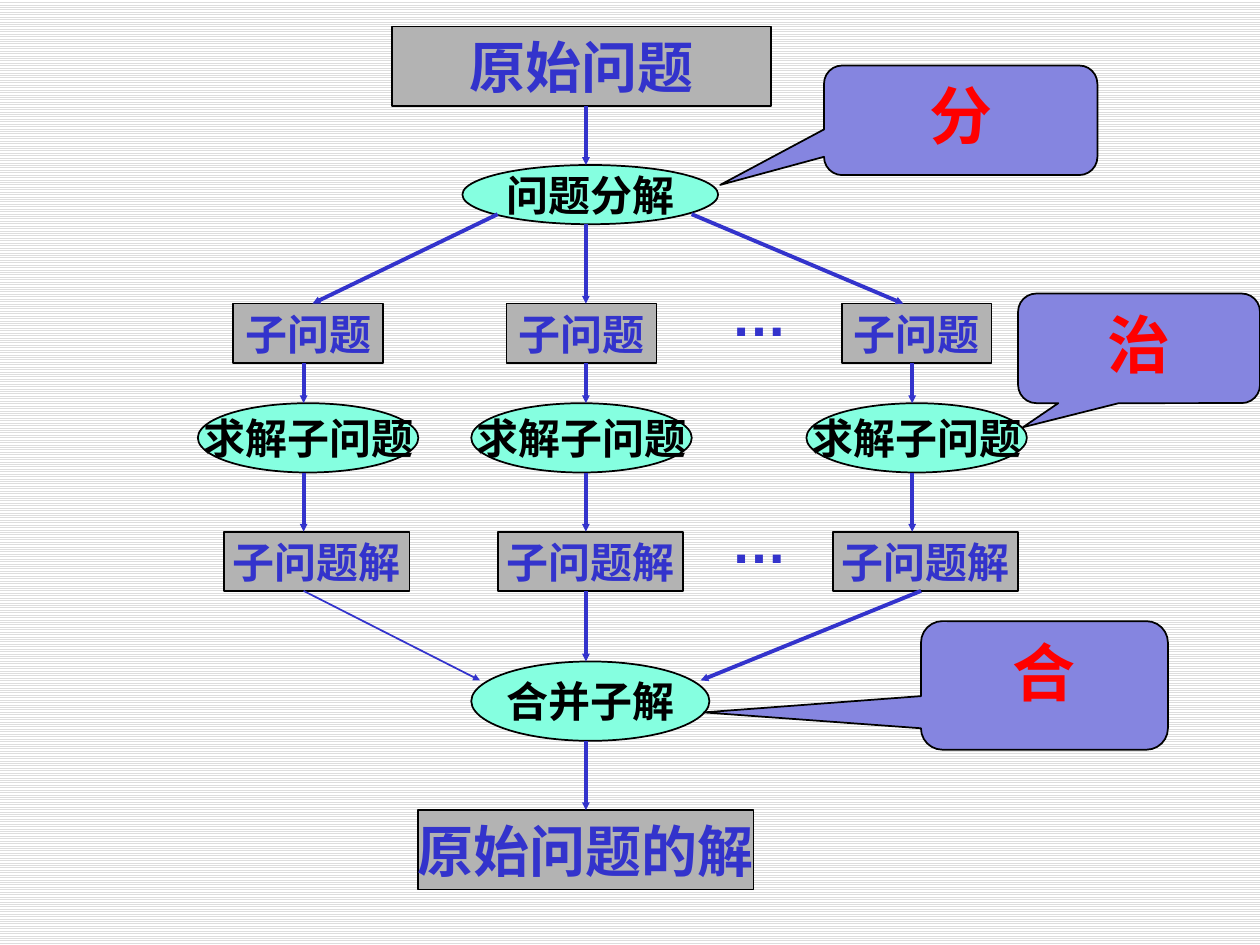
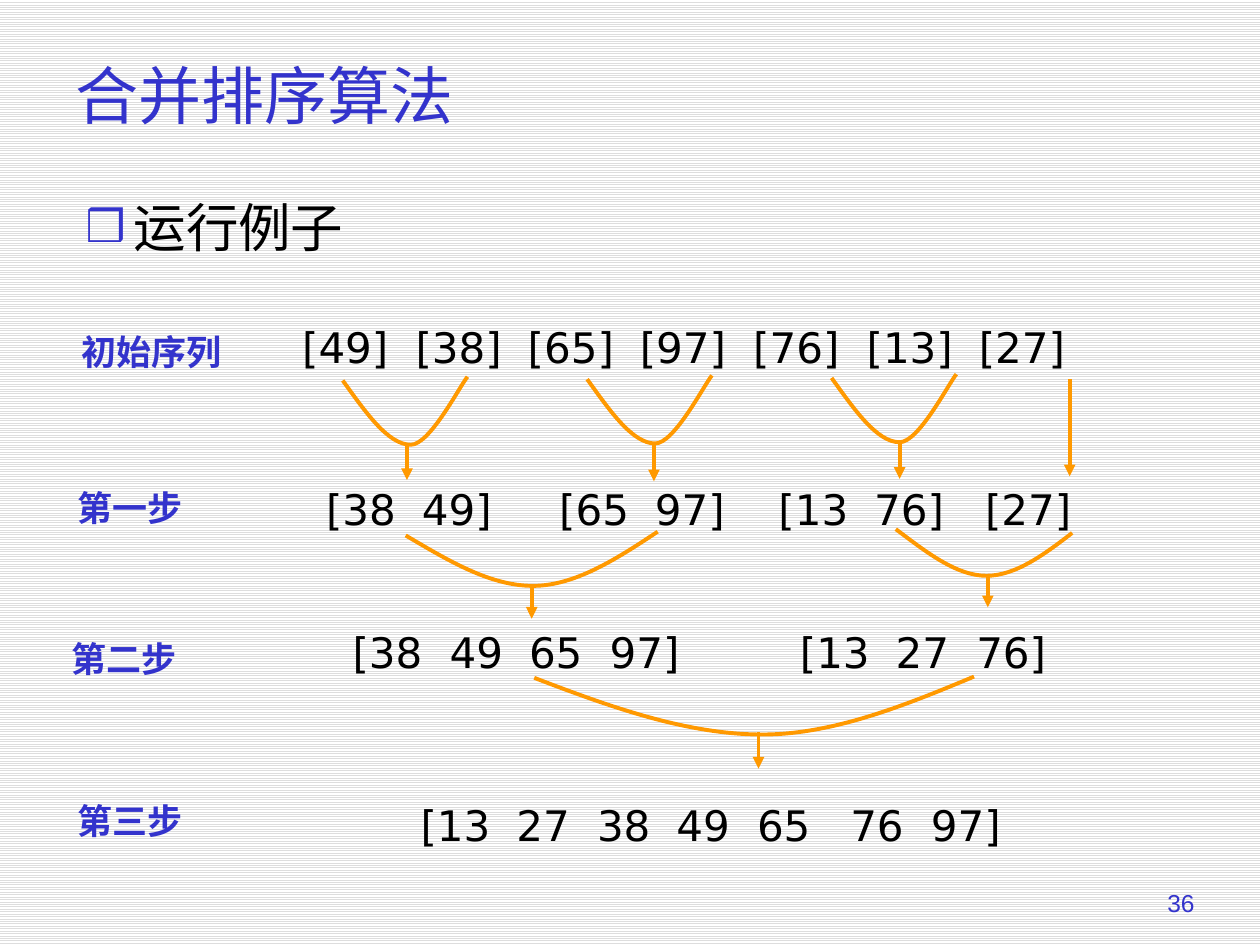
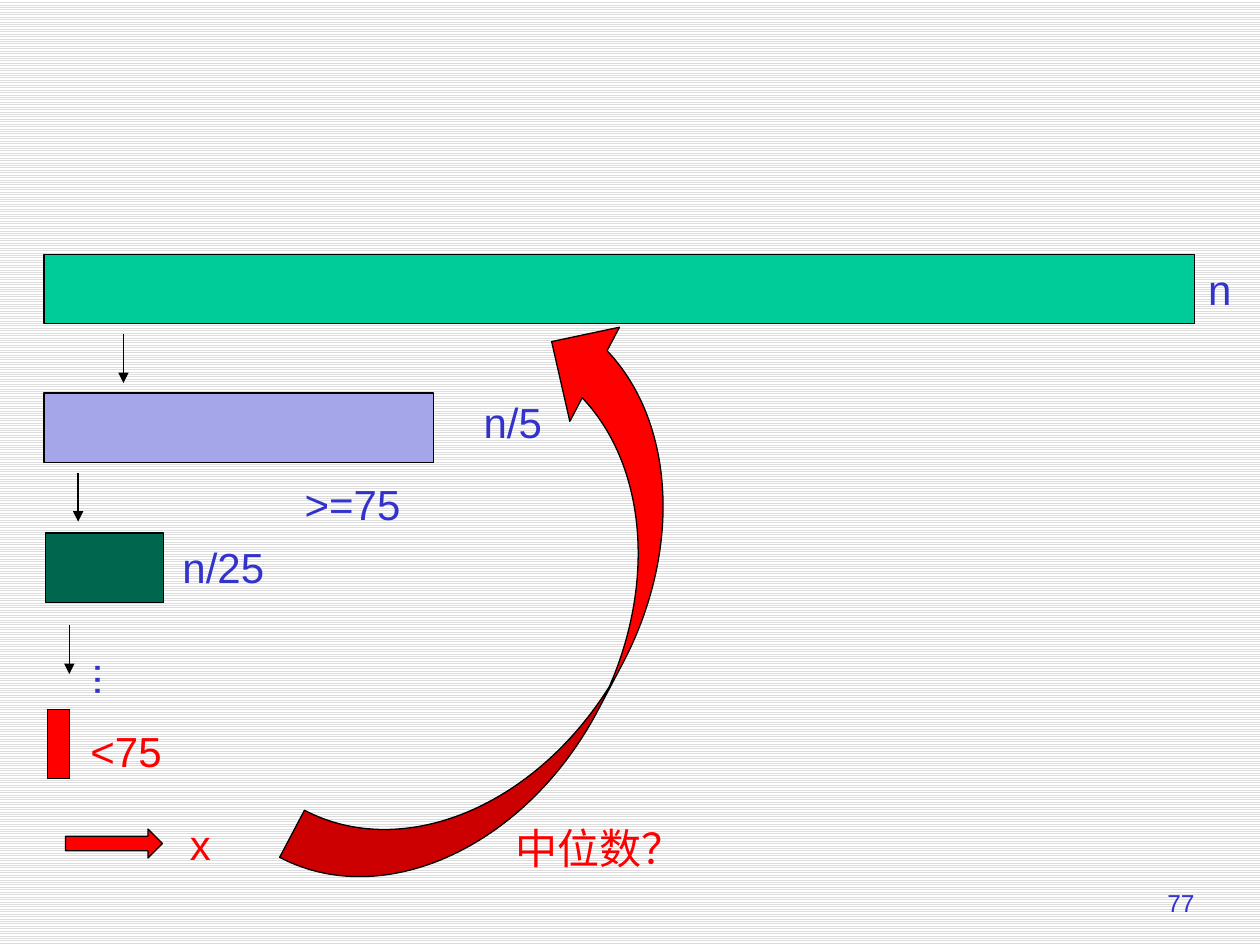
from dataclasses import dataclass
from typing import NamedTuple

from lxml import etree
from pptx import Presentation
from pptx import util as u
from pptx.dml.color import RGBColor
from pptx.enum import dml, shapes, text
from pptx.oxml import ns

PX = 9144  # EMU per px, 100 px to the inch


@dataclass(frozen=True)
class Theme:
    ink: str = "000000"
    paper: str = "FFFFFF"
    stripe: str = "DDDDDD"
    blue: str = "3333CC"
    grey: str = "B3B3B3"
    mint: str = "85FFE0"
    violet: str = "8585E0"
    lilac: str = "A5A5E9"
    green: str = "00CC99"
    pine: str = "00664D"
    red: str = "FF0000"
    orange: str = "FF9900"
    sans: str = "Arial"
    sequence_font: str = "DejaVu Sans"
    callout_font: str = "DejaVu Sans Mono"
    title_font: str = "Noto Sans CJK JP"
    body_font: str = "Times New Roman"
    page_size: int = 14
    label_size: int = 20
    text_size: int = 24
    list_size: int = 30
    box_size: int = 32
    title_size: int = 36
    hairline: float = 0.75
    outline: float = 1
    stroke: float = 2.25


THEME = Theme()
SHAPE = shapes.MSO_SHAPE
ALIGN = text.PP_ALIGN
ANCHOR = text.MSO_ANCHOR


class Area(NamedTuple):
    left: int
    top: int
    width: int
    height: int

    def emu(self) -> list[int]:
        return [length * PX for length in self]


class Arrow(NamedTuple):
    x1: int
    y1: int
    x2: int
    y2: int


class Node(NamedTuple):
    kind: SHAPE
    area: Area
    label: str
    size: int = THEME.text_size


class Callout(NamedTuple):
    area: Area
    label: str
    tip_x: float
    tip_y: float


class Label(NamedTuple):
    area: Area
    text: str
    colour: str = THEME.blue
    wrap: bool = False


class Bar(NamedTuple):
    kind: SHAPE
    area: Area
    colour: str


@dataclass(frozen=True)
class MergeCurve:
    start: tuple[int, int]
    bottom: tuple[int, int]
    end: tuple[int, int]
    lean_x: float = 0.33
    lean_y: float = 0.5


class SequenceRow(NamedTuple):
    area: Area
    items: list[str]
    tabs: list[int]


def rgb(colour: str) -> RGBColor:
    return RGBColor.from_string(colour)


def add_element(parent, tag: str, **attributes: str):
    return etree.SubElement(parent, ns.qn(tag), attributes)


def write_text(frame, content: str, *, font: str = THEME.sans,
               size: int = THEME.text_size, colour: str = THEME.blue,
               bold: bool = False, align=ALIGN.LEFT, anchor=ANCHOR.TOP,
               wrap: bool = True, grow: bool = False):
    frame.word_wrap = wrap
    frame.vertical_anchor = anchor
    fit = text.MSO_AUTO_SIZE
    frame.auto_size = fit.SHAPE_TO_FIT_TEXT if grow else fit.NONE
    paragraph = frame.paragraphs[0]
    paragraph.alignment = align
    paragraph.space_before = u.Pt(0)
    run = paragraph.add_run()
    run.text = content
    run.font.name = font
    run.font.size = u.Pt(size)
    run.font.bold = bold
    run.font.color.rgb = rgb(colour)
    return paragraph


def add_label(slide, area: Area, content: str, **text_format):
    shape = slide.shapes.add_textbox(*area.emu())
    paragraph = write_text(shape.text_frame, content, **text_format)
    return shape, paragraph


def add_filled_shape(slide, kind, area: Area, colour: str,
                     line_width: float = THEME.hairline):
    shape = slide.shapes.add_shape(kind, *area.emu())
    shape.shadow.inherit = False
    shape.fill.solid()
    shape.fill.fore_color.rgb = rgb(colour)
    shape.line.color.rgb = rgb(THEME.ink)
    shape.line.width = u.Pt(line_width)
    return shape


def add_arrow(slide, arrow: Arrow, colour: str,
              width: float = THEME.stroke, head: str = "med") -> None:
    connector = slide.shapes.add_connector(
        shapes.MSO_CONNECTOR.STRAIGHT, *[length * PX for length in arrow])
    connector.line.color.rgb = rgb(colour)
    connector.line.width = u.Pt(width)
    properties = connector._element.spPr
    add_element(properties.find(ns.qn("a:ln")), "a:tailEnd",
                type="triangle", w=head, len=head)
    add_element(properties, "a:effectLst")


def add_merge_curve(slide, curve: MergeCurve) -> None:
    """Draw two segments through the bottom point and bend each one."""
    (x0, y0), (x1, y1), (x2, y2) = curve.start, curve.bottom, curve.end
    builder = slide.shapes.build_freeform(x0, y0, scale=PX)
    builder.add_line_segments([curve.bottom, curve.end], close=False)
    shape = builder.convert_to_shape()
    controls = (
        ((x0 + (x1 - x0) / 3, (y0 + y1) / 2), (x0 + (x1 - x0) * 2 / 3, y1)),
        ((x1 + (x2 - x1) / 3, y1),
         (x2 - (x2 - x1) * curve.lean_x, y2 + (y1 - y2) * curve.lean_y)),
    )
    top = min(y0, y2)
    segments = list(shape._element.iter(ns.qn("a:lnTo")))
    for segment, pair in zip(segments, controls):
        segment.tag = ns.qn("a:cubicBezTo")
        for position, (x, y) in enumerate(pair):
            point = etree.Element(ns.qn("a:pt"), x=str(round(x - x0)),
                                  y=str(round(y - top)))
            segment.insert(position, point)
    shape.shadow.inherit = False
    shape.fill.background()
    shape.line.color.rgb = rgb(THEME.orange)
    shape.line.width = u.Pt(THEME.stroke)


def add_page_number(slide, number: int) -> None:
    add_label(slide, Area(908, 700, 50, 50), str(number),
              size=THEME.page_size, align=ALIGN.RIGHT)


def style_master(presentation) -> None:
    fill = presentation.slide_master.background.fill
    fill.patterned()
    fill.pattern = dml.MSO_PATTERN.LIGHT_HORIZONTAL
    fill.fore_color.rgb = rgb(THEME.stripe)
    fill.back_color.rgb = rgb(THEME.paper)


def add_node(slide, node: Node) -> None:
    is_step = node.kind == SHAPE.OVAL
    shape = add_filled_shape(slide, node.kind, node.area,
                             THEME.mint if is_step else THEME.grey,
                             THEME.outline)
    write_text(shape.text_frame, node.label, size=node.size, bold=True,
               colour=THEME.ink if is_step else THEME.blue,
               align=ALIGN.CENTER, anchor=ANCHOR.MIDDLE, wrap=False)


def add_callout(slide, callout: Callout) -> None:
    shape = add_filled_shape(slide, SHAPE.ROUNDED_RECTANGULAR_CALLOUT,
                             callout.area, THEME.violet, THEME.outline)
    shape.adjustments[0] = callout.tip_x
    shape.adjustments[1] = callout.tip_y
    write_text(shape.text_frame, callout.label, font=THEME.callout_font,
               size=THEME.title_size, colour=THEME.red, bold=True,
               align=ALIGN.CENTER)


def build_divide_and_conquer(presentation) -> None:
    slide = presentation.slides.add_slide(presentation.slide_layouts[6])
    box, oval = SHAPE.RECTANGLE, SHAPE.OVAL
    nodes = [
        Node(box, Area(311, 21, 301, 63), "原始问题", THEME.box_size),
        Node(oval, Area(367, 131, 203, 47), "问题分解"),
        Node(oval, Area(374, 525, 189, 63), "合并子解"),
        Node(box, Area(332, 643, 266, 63), "原始问题的解", THEME.box_size),
    ]
    for left in (157, 374, 640):
        nodes += [
            Node(box, Area(left + 28, 241, 119, 47), "子问题"),
            Node(oval, Area(left, 320, 175, 55), "求解子问题"),
            Node(box, Area(left + 21, 422, 147, 47), "子问题解"),
        ]
    for node in nodes:
        add_node(slide, node)
    for top in (218, 398):
        add_label(slide, Area(570, top, 65, 64), "…", size=THEME.box_size,
                  bold=True, align=ALIGN.CENTER, wrap=False, grow=True)

    middle = 465
    arrows = [Arrow(middle, top, middle, bottom) for top, bottom in
              ((84, 131), (178, 241), (469, 525), (588, 643))]
    arrows += [Arrow(x, top, x, bottom) for x in (241, middle, 724)
               for top, bottom in ((288, 320), (375, 422))]
    arrows += [Arrow(395, 170, 248, 241), Arrow(549, 170, 717, 241),
               Arrow(731, 469, 556, 540)]
    for arrow in arrows:
        add_arrow(slide, arrow, THEME.blue, head="sm")
    add_arrow(slide, Arrow(241, 469, 381, 540), THEME.blue,
              THEME.outline, head="sm")

    for callout in (
        Callout(Area(654, 52, 217, 87), "分", -0.88, 0.59),
        Callout(Area(808, 233, 192, 87), "治", -0.48, 0.72),
        Callout(Area(731, 493, 196, 102), "合", -1.38, 0.21),
    ):
        add_callout(slide, callout)


def place(placeholder, area: Area) -> None:
    (placeholder.left, placeholder.top,
     placeholder.width, placeholder.height) = area.emu()


def add_bullet(paragraph) -> None:
    properties = paragraph._p.get_or_add_pPr()
    properties.set("marL", str(38 * PX))
    properties.set("indent", str(-38 * PX))
    colour = add_element(properties, "a:buClr")
    add_element(colour, "a:srgbClr", val=THEME.blue)
    add_element(properties, "a:buSzPct", val="85000")
    add_element(properties, "a:buChar", char="❒")


def add_sequence(slide, row: SequenceRow) -> None:
    """Write the items of a row, each from the second on at its tab stop."""
    _, paragraph = add_label(slide, row.area, "\t".join(row.items),
                             font=THEME.sequence_font, colour=THEME.ink,
                             grow=True)
    tab_list = add_element(paragraph._p.get_or_add_pPr(), "a:tabLst")
    for position in row.tabs:
        add_element(tab_list, "a:tab", pos=str(position * PX), algn="l")


def build_merge_sort(presentation) -> None:
    slide = presentation.slides.add_slide(presentation.slide_layouts[1])
    title, body = slide.placeholders
    place(title, Area(50, 25, 850, 100))
    write_text(title.text_frame, "合并排序算法", font=THEME.title_font,
               size=THEME.title_size, anchor=ANCHOR.MIDDLE)
    place(body, Area(58, 150, 850, 533))
    add_bullet(write_text(body.text_frame, "运行例子", font=THEME.body_font,
                          size=THEME.list_size, colour=THEME.ink))
    add_page_number(slide, 36)

    for label in (
        Label(Area(55, 257, 132, 43), "初始序列"),
        Label(Area(52, 381, 104, 43), "第一步"),
        Label(Area(47, 501, 104, 43), "第二步"),
        Label(Area(52, 630, 104, 43), "第三步"),
    ):
        add_label(slide, label.area, label.text, font=THEME.sequence_font,
                  size=THEME.label_size, bold=True, wrap=False, grow=True)

    numbers = (49, 38, 65, 97, 76, 13, 27)
    for row in (
        SequenceRow(Area(230, 250, 670, 50), [f"[{n}]" for n in numbers],
                    [round(89.5 * column) for column in range(1, 7)]),
        SequenceRow(Area(249, 379, 650, 50),
                    ["[38", "49]", "[65", "97]", "[13", "76]", "[27]"],
                    [76, 185, 261, 359, 435, 523]),
        SequenceRow(Area(270, 492, 601, 50),
                    ["[38", "49", "65", "97]", "[13", "27", "76]"],
                    [77, 140, 204, 355, 431, 495]),
        SequenceRow(Area(324, 630, 500, 50),
                    ["[13", "27", "38", "49", "65", "76", "97]"],
                    [76, 140, 203, 267, 341, 405]),
    ):
        add_sequence(slide, row)

    curves = [MergeCurve((272 + 194 * pair, 302 - pair),
                         (326 + 194 * pair, 353 - pair),
                         (371 + 194 * pair, 299 - pair), 0.16, 0.17)
              for pair in range(3)]
    curves += [
        MergeCurve((322, 425), (423, 465), (522, 422)),
        MergeCurve((711, 420), (783, 457), (851, 423)),
        MergeCurve((424, 538), (605, 583), (773, 537)),
    ]
    for curve in curves:
        add_merge_curve(slide, curve)
    for x, top, bottom in (
        (323, 352, 381), (519, 353, 382), (714, 351, 380), (849, 301, 378),
        (422, 466, 491), (784, 457, 482), (602, 581, 610),
    ):
        add_arrow(slide, Arrow(x, top, x, bottom), THEME.orange)


def build_median_selection(presentation) -> None:
    slide = presentation.slides.add_slide(presentation.slide_layouts[6])
    add_page_number(slide, 77)
    for bar in (
        Bar(SHAPE.RECTANGLE, Area(35, 202, 913, 55), THEME.green),
        Bar(SHAPE.RECTANGLE, Area(35, 312, 309, 55), THEME.lilac),
        Bar(SHAPE.RECTANGLE, Area(36, 423, 94, 55), THEME.pine),
        Bar(SHAPE.RECTANGLE, Area(38, 563, 17, 55), THEME.red),
        Bar(SHAPE.RIGHT_ARROW, Area(52, 658, 77, 23), THEME.red),
    ):
        add_filled_shape(slide, bar.kind, bar.area, bar.colour)
    return_arrow = add_filled_shape(slide, SHAPE.CURVED_RIGHT_ARROW,
                                    Area(330, 244, 169, 505), THEME.red)
    return_arrow.rotation = 207.8

    for label in (
        Label(Area(949, 204, 39, 50), "n"),
        Label(Area(374, 310, 67, 50), "n/5"),
        Label(Area(135, 425, 86, 50), "n/25"),
        Label(Area(232, 375, 169, 50), ">=75", wrap=True),
        Label(Area(141, 645, 34, 50), "x", THEME.red, True),
        Label(Area(62, 571, 77, 50), "<75", THEME.red, True),
        Label(Area(399, 648, 154, 50), "中位数？", THEME.red, True),
    ):
        add_label(slide, label.area, label.text, colour=label.colour,
                  wrap=label.wrap, grow=True)
    dots, _ = add_label(slide, Area(53, 516, 61, 38), "...",
                        wrap=False, grow=True)
    dots.text_frame._txBody.bodyPr.set("vert", "eaVert")

    for x, top in ((98, 265), (62, 375), (55, 496)):
        add_arrow(slide, Arrow(x, top, x, top + 39), THEME.ink,
                  THEME.hairline)


def main() -> None:
    presentation = Presentation()
    presentation.slide_width = 1000 * PX
    presentation.slide_height = 750 * PX
    style_master(presentation)
    build_divide_and_conquer(presentation)
    build_merge_sort(presentation)
    build_median_selection(presentation)
    presentation.save("out.pptx")


if __name__ == "__main__":
    main()
